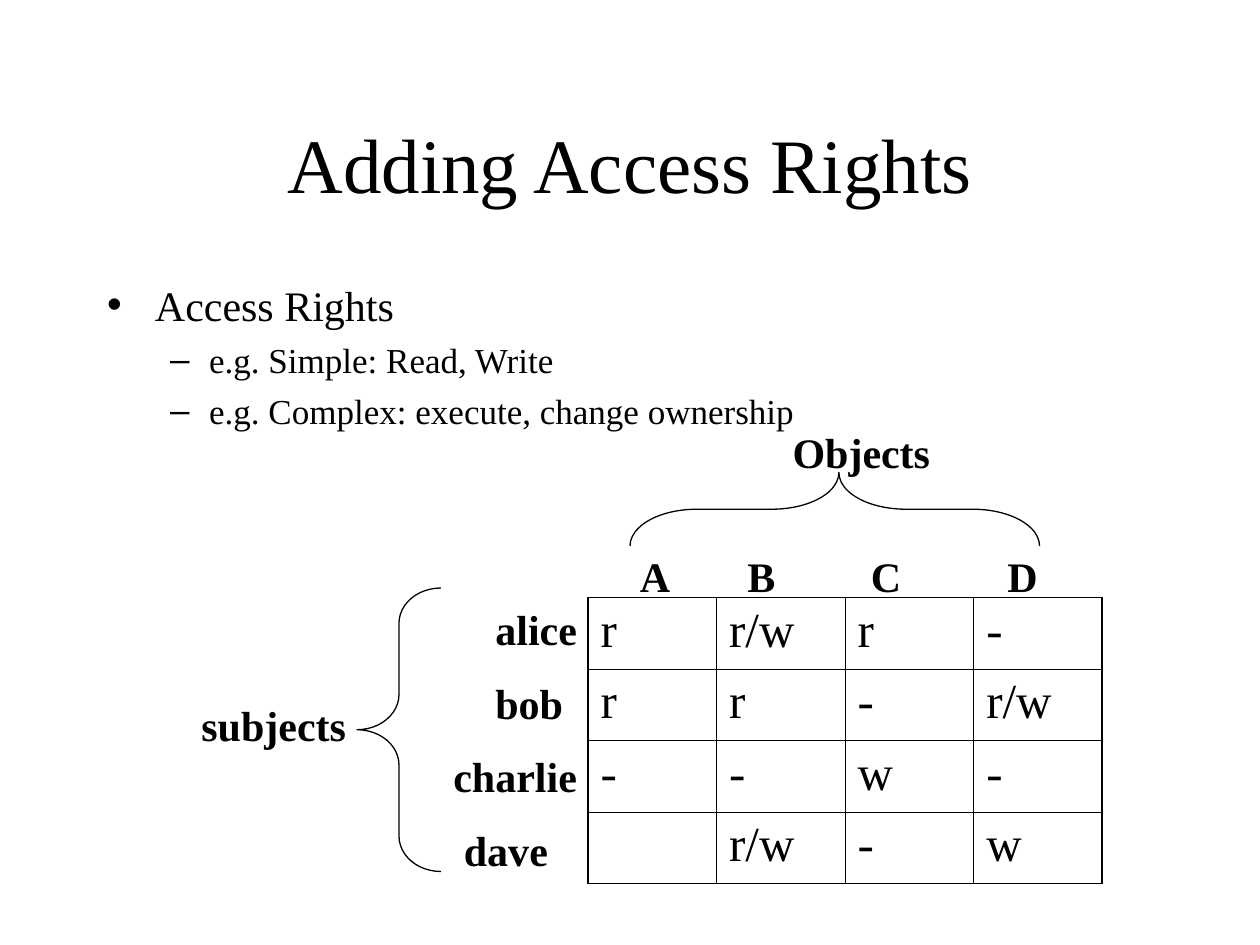
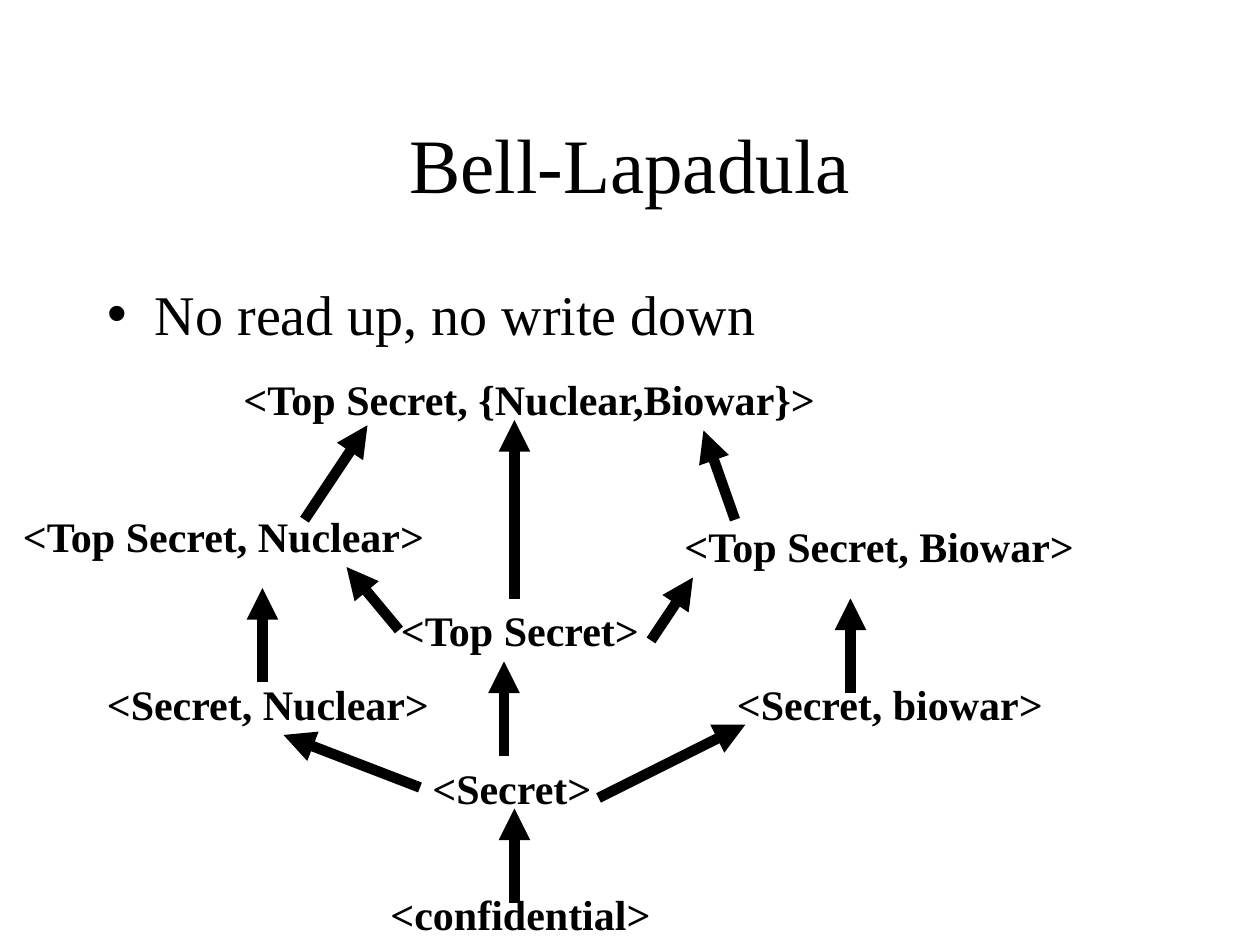
from pptx import Presentation
from pptx.dml.color import RGBColor
from pptx.enum.shapes import MSO_CONNECTOR, MSO_SHAPE
from pptx.enum.text import MSO_ANCHOR, MSO_AUTO_SIZE, PP_ALIGN
from pptx.oxml import parse_xml
from pptx.oxml.ns import nsdecls
from pptx.util import Inches, Pt

BLACK = RGBColor(0, 0, 0)
WHITE = RGBColor(255, 255, 255)
FONT = "Times New Roman"
GRID_STEPS_PER_INCH = 12
LABEL_HEIGHT = 6

TITLE_AREA = (9, 8, 102, 15)
BODY_AREA = (9, 26, 102, 54)
BULLET_INDENTS = [(0.38, -0.38), (0.81, -0.31)]

RIGHTS_TITLE = "Adding Access Rights"
RIGHTS_POINTS = [
    ("Access Rights", 0, 24, 6),
    ("e.g. Simple: Read, Write", 1, 20, 5),
    ("e.g. Complex: execute, change ownership", 1, 20, 5),
]
RIGHTS_MATRIX = [
    ["r", "r/w", "r", "-"],
    ["r", "r", "-", "r/w"],
    ["-", "-", "w", "-"],
    ["", "r/w", "-", "w"],
]
MATRIX_AREA = (56, 56.9, 49, 27.25)
SUBJECTS = [("alice", 46), ("bob", 46), ("charlie", 42), ("dave", 43)]
SUBJECTS_TOP, SUBJECT_STEP = 56.9, 7
OBJECTS = [("A", 59.75), ("B", 70), ("C", 81.75), ("D", 94.75)]
OBJECTS_TOP = 51.8
AXIS_LABELS = [("subjects", 18, 66), ("Objects", 74.3, 40)]
BRACES = [
    ((34, 56, 8, 27), 0, (0.42, 0.5)),
    ((76, 29, 7, 39), 90, (0.91, 0.49)),
]

LATTICE_TITLE = "Bell-Lapadula"
LATTICE_POINTS = [("No read up, no write down", 0, 32, 8)]
LEVELS = [
    ("<confidential>", 36, 84),
    ("<Secret>", 40, 72),
    ("<Top Secret>", 37, 57),
    ("<Secret, biowar>", 69, 64),
    ("<Secret, Nuclear>", 9, 64),
    ("<Top Secret, Biowar>", 64, 49),
    ("<Top Secret, Nuclear>", 1, 48),
    ("<Top Secret, {Nuclear,Biowar}>", 22, 35),
]
FLOWS = [
    (40, 75, 27, 70),
    (57, 76, 71, 69),
    (25, 65, 25, 56),
    (48, 72, 48, 63),
    (81, 66, 81, 57),
    (38, 60, 33, 54),
    (62, 61, 66, 55),
    (49, 57, 49, 40),
    (29, 49.5, 35, 40.5),
    (70, 49.5, 67, 41),
    (49, 86, 49, 77),
]


def on_grid(*steps):
    return [Inches(step / GRID_STEPS_PER_INCH) for step in steps]


def write(paragraph, text, size=24, bold=False, before=0, align=PP_ALIGN.LEFT):
    paragraph.alignment = align
    paragraph.space_before = Pt(before)
    run = paragraph.add_run()
    run.text = text
    run.font.name = FONT
    run.font.size = Pt(size)
    run.font.bold = bold
    run.font.color.rgb = BLACK


def place(holder, area):
    holder.left, holder.top, holder.width, holder.height = on_grid(*area)
    holder.text_frame.auto_size = MSO_AUTO_SIZE.NONE


def add_slide(title, points):
    slide = deck.slides.add_slide(deck.slide_layouts[1])
    slide.background.fill.solid()
    slide.background.fill.fore_color.rgb = WHITE
    heading, body = slide.placeholders
    place(heading, TITLE_AREA)
    heading.text_frame.vertical_anchor = MSO_ANCHOR.MIDDLE
    write(heading.text_frame.paragraphs[0], title, size=44, align=PP_ALIGN.CENTER)
    place(body, BODY_AREA)
    for index, (text, level, size, before) in enumerate(points):
        frame = body.text_frame
        paragraph = frame.add_paragraph() if index else frame.paragraphs[0]
        paragraph.level = level
        write(paragraph, text, size=size, before=before)
        margin, hanging = BULLET_INDENTS[level]
        properties = paragraph._p.get_or_add_pPr()
        properties.set("marL", str(Inches(margin)))
        properties.set("indent", str(Inches(hanging)))
    return slide


def add_label(slide, text, left, top):
    width = 4 + 1.9 * len(text)
    label = slide.shapes.add_textbox(*on_grid(left, top, width, LABEL_HEIGHT))
    label.text_frame.word_wrap = False
    write(label.text_frame.paragraphs[0], text, bold=True)


def add_matrix(slide):
    size = len(RIGHTS_MATRIX)
    last = size - 1
    table = slide.shapes.add_table(size, size, *on_grid(*MATRIX_AREA)).table
    table.first_row = table.horz_banding = False
    for r, rights in enumerate(RIGHTS_MATRIX):
        for c, right in enumerate(rights):
            cell = table.cell(r, c)
            write(cell.text_frame.paragraphs[0], right, size=28, before=7)
            outer_edges = {
                "L": c == 0,
                "R": c == last,
                "T": r == 0 and c > 0,
                "B": r == last,
            }
            for side, outer in outer_edges.items():
                cell._tc.get_or_add_tcPr().append(parse_xml(
                    f'<a:ln{side} {nsdecls("a")} w="{Pt(1.08 if outer else 0.45)}">'
                    f'<a:solidFill><a:srgbClr val="{BLACK}"/></a:solidFill></a:ln{side}>'
                ))
            cell.fill.background()


def add_brace(slide, area, rotation, bends):
    brace = slide.shapes.add_shape(MSO_SHAPE.LEFT_BRACE, *on_grid(*area))
    brace.rotation = rotation
    brace.adjustments[0], brace.adjustments[1] = bends
    brace.shadow.inherit = False
    brace.fill.background()
    brace.line.color.rgb = BLACK
    brace.line.width = Pt(0.75)


def add_flow(slide, ends):
    flow = slide.shapes.add_connector(MSO_CONNECTOR.STRAIGHT, *on_grid(*ends))
    flow.line.color.rgb = BLACK
    flow.line.width = Pt(6)
    flow.line._get_or_add_ln().append(
        parse_xml(f'<a:tailEnd {nsdecls("a")} type="triangle"/>')
    )
    flow._element.spPr.append(parse_xml(f'<a:effectLst {nsdecls("a")}/>'))


deck = Presentation()
deck.slide_width, deck.slide_height = Inches(10), Inches(7.5)

rights_slide = add_slide(RIGHTS_TITLE, RIGHTS_POINTS)
add_matrix(rights_slide)
for row, (subject, left) in enumerate(SUBJECTS):
    add_label(rights_slide, subject, left, SUBJECTS_TOP + row * SUBJECT_STEP)
for name, left in OBJECTS:
    add_label(rights_slide, name, left, OBJECTS_TOP)
for brace_format in BRACES:
    add_brace(rights_slide, *brace_format)
for axis_label in AXIS_LABELS:
    add_label(rights_slide, *axis_label)

lattice_slide = add_slide(LATTICE_TITLE, LATTICE_POINTS)
for level_label in LEVELS:
    add_label(lattice_slide, *level_label)
for flow_ends in FLOWS:
    add_flow(lattice_slide, flow_ends)

deck.save("out.pptx")
